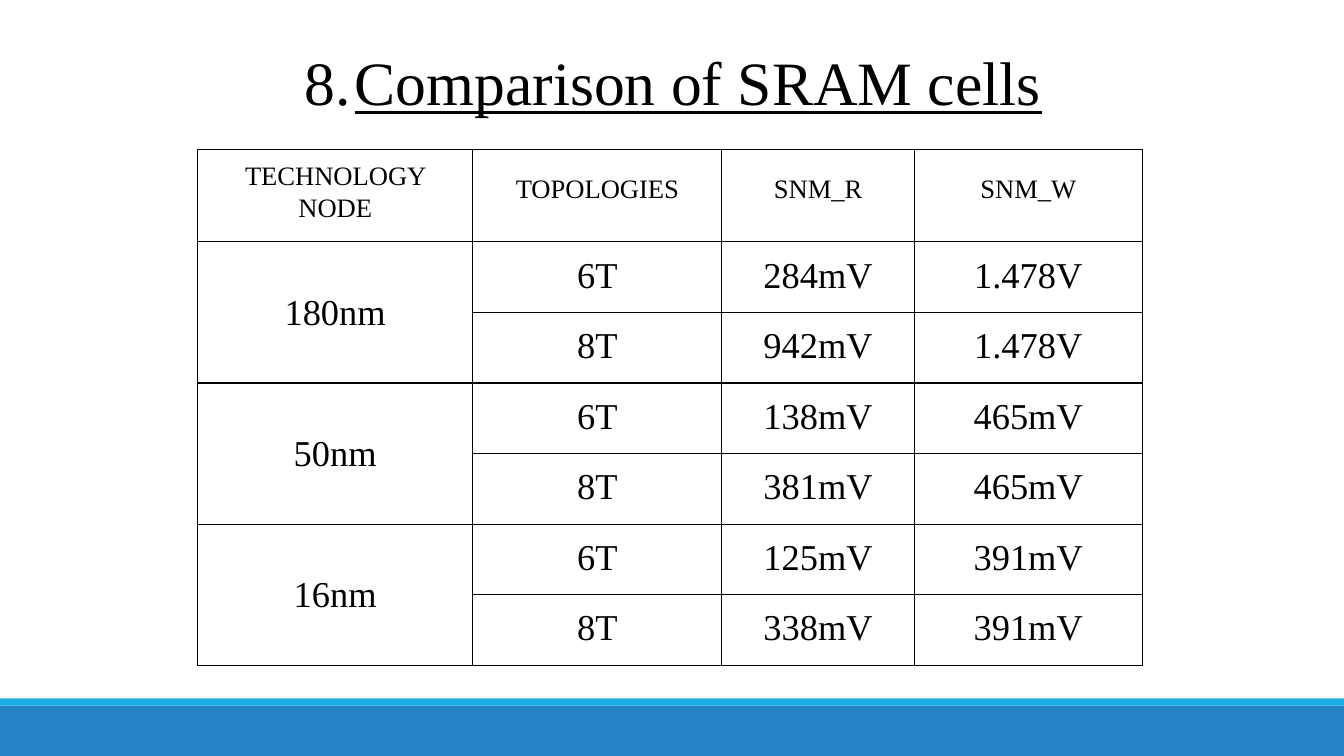
from dataclasses import dataclass

from lxml.etree import SubElement
from pptx import Presentation
from pptx.dml.color import RGBColor as Rgb
from pptx.enum.shapes import MSO_SHAPE as Shape
from pptx.enum.text import MSO_ANCHOR as Anchor, MSO_AUTO_SIZE as AutoSize, PP_ALIGN as Align
from pptx.oxml.ns import qn
from pptx.util import Inches, Pt


@dataclass(frozen=True)
class Theme:
    font: str = "Times New Roman"
    ink: str = "000000"
    paper: str = "FFFFFF"
    footer: str = "2683C6"
    accent: str = "1CADE4"
    title_size: int = 44
    header_size: int = 19
    body_size: int = 26
    border: float = 1


HEADERS = ["TECHNOLOGY NODE", "TOPOLOGIES", "SNM_R", "SNM_W"]
NODES = {
    "180nm": [("6T", "284mV", "1.478V"), ("8T", "942mV", "1.478V")],
    "50nm": [("6T", "138mV", "465mV"), ("8T", "381mV", "465mV")],
    "16nm": [("6T", "125mV", "391mV"), ("8T", "338mV", "391mV")],
}
COLUMN_WIDTHS = [2.73, 2.47, 1.91, 2.26]
HEADER_HEIGHT, ROW_HEIGHT = 0.92, 0.7


def apply_formats(target, formats):
    for name, value in formats.items():
        setattr(target, name, value)


class SlideBuilder:
    def __init__(self, slide, theme):
        self.slide, self.theme = slide, theme

    def add_text(self, paragraph, text, size, underline=None):
        run = paragraph.add_run()
        run.text = text
        apply_formats(run.font, {
            "name": self.theme.font, "size": Pt(size), "underline": underline})
        run.font.color.rgb = Rgb.from_string(self.theme.ink)

    def bar(self, top, height, color):
        bar = self.slide.shapes.add_shape(
            Shape.RECTANGLE, 0, Inches(top), Inches(13.33), Inches(height))
        bar.shadow.inherit = False
        bar.fill.solid()
        bar.fill.fore_color.rgb = Rgb.from_string(color)
        bar.line.fill.background()

    def title(self, number, heading, left, top, width, height):
        box = self.slide.shapes.add_textbox(*map(Inches, (left, top, width, height)))
        apply_formats(box.text_frame, {
            "word_wrap": True, "auto_size": AutoSize.SHAPE_TO_FIT_TEXT})
        paragraph = box.text_frame.paragraphs[0]
        paragraph.alignment = Align.CENTER
        self.add_text(paragraph, f"{number}.\t", self.theme.title_size)
        self.add_text(paragraph, heading, self.theme.title_size, underline=True)

    def table(self, left, top, widths, heights):
        table = self.slide.shapes.add_table(
            len(heights), len(widths), Inches(left), Inches(top),
            Inches(sum(widths)), Inches(sum(heights))).table
        apply_formats(table, {"first_row": False, "horz_banding": False})
        for column, width in zip(table.columns, widths):
            column.width = Inches(width)
        for row, height in zip(table.rows, heights):
            row.height = Inches(height)
        for cell in table.iter_cells():
            self.frame_cell(cell)
        return table

    def frame_cell(self, cell):
        """Give the cell its four borders and a plain fill."""
        properties = cell._tc.get_or_add_tcPr()
        for side in ("a:lnL", "a:lnR", "a:lnT", "a:lnB"):
            line = SubElement(properties, qn(side), w=str(Pt(self.theme.border)))
            fill = SubElement(line, qn("a:solidFill"))
            SubElement(fill, qn("a:srgbClr"), val=self.theme.ink)
        cell.fill.solid()
        cell.fill.fore_color.rgb = Rgb.from_string(self.theme.paper)

    def cell(self, cell, text, size, spacing, side_margin=0.16):
        apply_formats(cell, {
            "margin_left": Inches(side_margin), "margin_right": Inches(side_margin),
            "margin_top": Inches(0.11), "margin_bottom": Inches(0.11),
            "vertical_anchor": Anchor.TOP,
        })
        paragraph = cell.text_frame.paragraphs[0]
        apply_formats(paragraph, {"alignment": Align.CENTER, "line_spacing": spacing})
        self.add_text(paragraph, text, size)


def main():
    theme = Theme()
    deck = Presentation()
    apply_formats(deck, {"slide_width": Inches(13.33), "slide_height": Inches(7.5)})
    builder = SlideBuilder(deck.slides.add_slide(deck.slide_layouts[6]), theme)

    builder.bar(7, 0.5, theme.footer)
    builder.bar(6.93, 0.07, theme.accent)

    row_count = sum(map(len, NODES.values()))
    table = builder.table(1.96, 1.48, COLUMN_WIDTHS,
                          [HEADER_HEIGHT] + [ROW_HEIGHT] * row_count)
    for column, header in enumerate(HEADERS):
        builder.cell(table.cell(0, column), header, theme.header_size,
                     1.5 if column else 1.07)

    first_row = 1
    for node, readings in NODES.items():
        node_cell = table.cell(first_row, 0)
        node_cell.merge(table.cell(first_row + len(readings) - 1, 0))
        builder.cell(node_cell, node, theme.body_size, 2.0, side_margin=0.21)
        for row, reading in enumerate(readings, first_row):
            for column, value in enumerate(reading, 1):
                builder.cell(table.cell(row, column), value, theme.body_size, 1.07)
        first_row += len(readings)

    builder.title(8, "Comparison of SRAM cells", 0.35, 0.39, 12.65, 0.84)
    deck.save("out.pptx")


if __name__ == "__main__":
    main()
